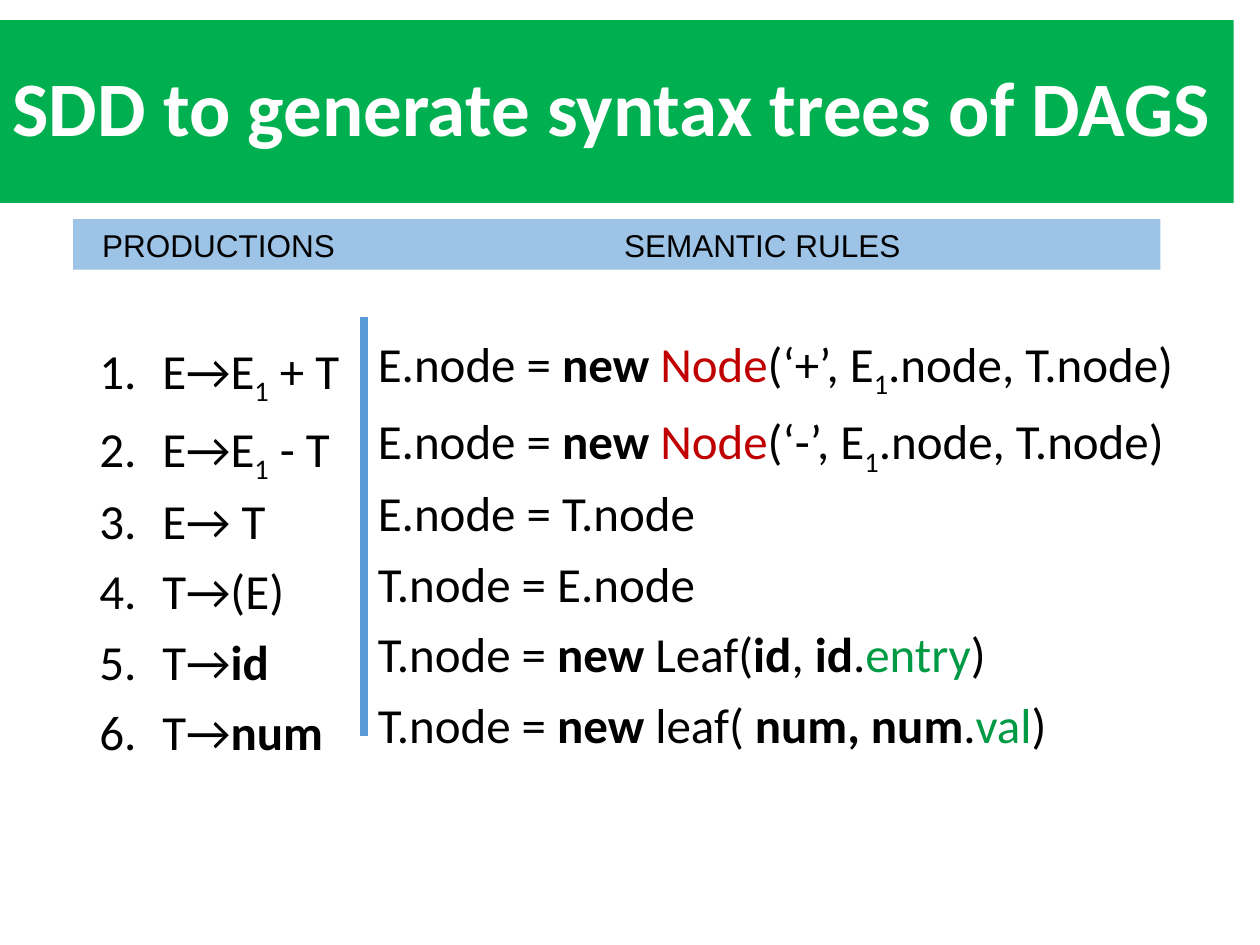
"""Build a slide pairing grammar productions with their semantic rules."""
from lxml.etree import SubElement
from pptx import Presentation
from pptx.dml.color import RGBColor
from pptx.enum.shapes import MSO_CONNECTOR, MSO_SHAPE
from pptx.enum.text import MSO_ANCHOR, PP_ALIGN
from pptx.oxml.ns import qn
from pptx.util import Inches, Pt

GREEN = RGBColor(0x00, 0xB0, 0x50)
WHITE = RGBColor(0xFF, 0xFF, 0xFF)
BLACK = RGBColor(0x00, 0x00, 0x00)
PALE_BLUE = RGBColor(0x9D, 0xC3, 0xE6)
BLUE = RGBColor(0x5B, 0x9B, 0xD5)
RED = RGBColor(0xC0, 0x00, 0x00)
DARK_GREEN = RGBColor(0x00, 0x9A, 0x44)

STYLES = {
    "plain": {"color": BLACK, "bold": False},
    "bold": {"color": BLACK, "bold": True},
    "sub": {"color": BLACK, "bold": False},
    "red": {"color": RED, "bold": False},
    "green": {"color": DARK_GREEN, "bold": False},
}


def add_run(paragraph, text, color, **font_values):
    run = paragraph.add_run()
    run.text = text
    run.font.color.rgb = color
    for name, value in font_values.items():
        setattr(run.font, name, value)
    return run


presentation = Presentation()
presentation.slide_width = Inches(10)
presentation.slide_height = Inches(7.5)
slide = presentation.slides.add_slide(presentation.slide_layouts[6])

title_font = {"color": WHITE, "name": "Calibri", "size": Pt(44), "bold": True}
header_font = {"color": BLACK, "name": "Arial", "size": Pt(18)}
bars = [
    ("SDD to generate syntax trees of DAGS", (0, 0.16, 9.79, 1.45), GREEN,
     {"alignment": PP_ALIGN.LEFT, "line_spacing": 0.9}, title_font),
    ("PRODUCTIONS", (0.58, 1.74, 2.31, 0.4), PALE_BLUE,
     {"alignment": PP_ALIGN.CENTER}, header_font),
    ("SEMANTIC RULES", (2.89, 1.74, 6.32, 0.4), PALE_BLUE,
     {"alignment": PP_ALIGN.CENTER}, header_font),
]
for text, box, fill, paragraph_values, font_values in bars:
    shape = slide.shapes.add_shape(MSO_SHAPE.RECTANGLE, *map(Inches, box))
    shape.shadow.inherit = False
    shape.fill.solid()
    shape.fill.fore_color.rgb = fill
    shape.line.fill.background()
    shape.text_frame.word_wrap = True
    shape.text_frame.vertical_anchor = MSO_ANCHOR.MIDDLE
    paragraph = shape.text_frame.paragraphs[0]
    for name, value in paragraph_values.items():
        setattr(paragraph, name, value)
    add_run(paragraph, text, **font_values)

productions = [
    [("E→E", "plain"), ("1", "sub"), (" + T", "plain")],
    [("E→E", "plain"), ("1", "sub"), (" - T", "plain")],
    [("E→ T", "plain")],
    [("T→(E)", "plain")],
    [("T→", "plain"), ("id", "bold")],
    [("T→", "plain"), ("num", "bold")],
]
node_rules = [
    [("E.node = ", "plain"), ("new ", "bold"), ("Node", "red"),
     (f"(‘{operator}’, E", "plain"), ("1", "sub"), (".node, T.node)", "plain")]
    for operator in "+-"
]
semantic_rules = node_rules + [
    [("E.node = T.node", "plain")],
    [("T.node = E.node", "plain")],
    [("T.node = ", "plain"), ("new", "bold"), (" Leaf(", "plain"), ("id", "bold"),
     (", ", "plain"), ("id", "bold"), (".", "plain"), ("entry", "green"), (")", "plain")],
    [("T.node = ", "plain"), ("new", "bold"), (" leaf( ", "plain"), ("num, num", "bold"),
     (".", "plain"), ("val", "green"), (")", "plain")],
]
columns = [
    (productions, (0.69, 2, 4.82, 4.82), 0.5, True),
    (semantic_rules, (2.9, 1.94, 6.75, 5.08), 0.25, False),
]
for lines, box, indent, numbered in columns:
    text_frame = slide.shapes.add_textbox(*map(Inches, box)).text_frame
    text_frame.word_wrap = True
    text_frame.margin_top = Inches(0.71)
    for index, line in enumerate(lines):
        paragraph = text_frame.add_paragraph() if index else text_frame.paragraphs[0]
        paragraph.line_spacing = 0.9
        paragraph.space_before = Pt(10 if index else 0)
        properties = paragraph._p.get_or_add_pPr()
        properties.set("marL", str(Inches(indent)))
        properties.set("indent", str(Inches(-indent)))
        if numbered:
            SubElement(properties, qn("a:buFont"), typeface="+mj-lt")
            SubElement(properties, qn("a:buAutoNum"), type="arabicPeriod")
        else:
            SubElement(properties, qn("a:buNone"))
        for text, style in line:
            run = add_run(paragraph, text, name="Calibri", size=Pt(28), **STYLES[style])
            if style == "sub":
                run.font._element.set("baseline", "-25000")

divider = slide.shapes.add_connector(
    MSO_CONNECTOR.STRAIGHT, Inches(2.89), Inches(2.52), Inches(2.89), Inches(5.84))
divider.line.color.rgb = BLUE
divider.line.width = Pt(4.5)
SubElement(divider._element.spPr, qn("a:effectLst"))

presentation.save("out.pptx")
